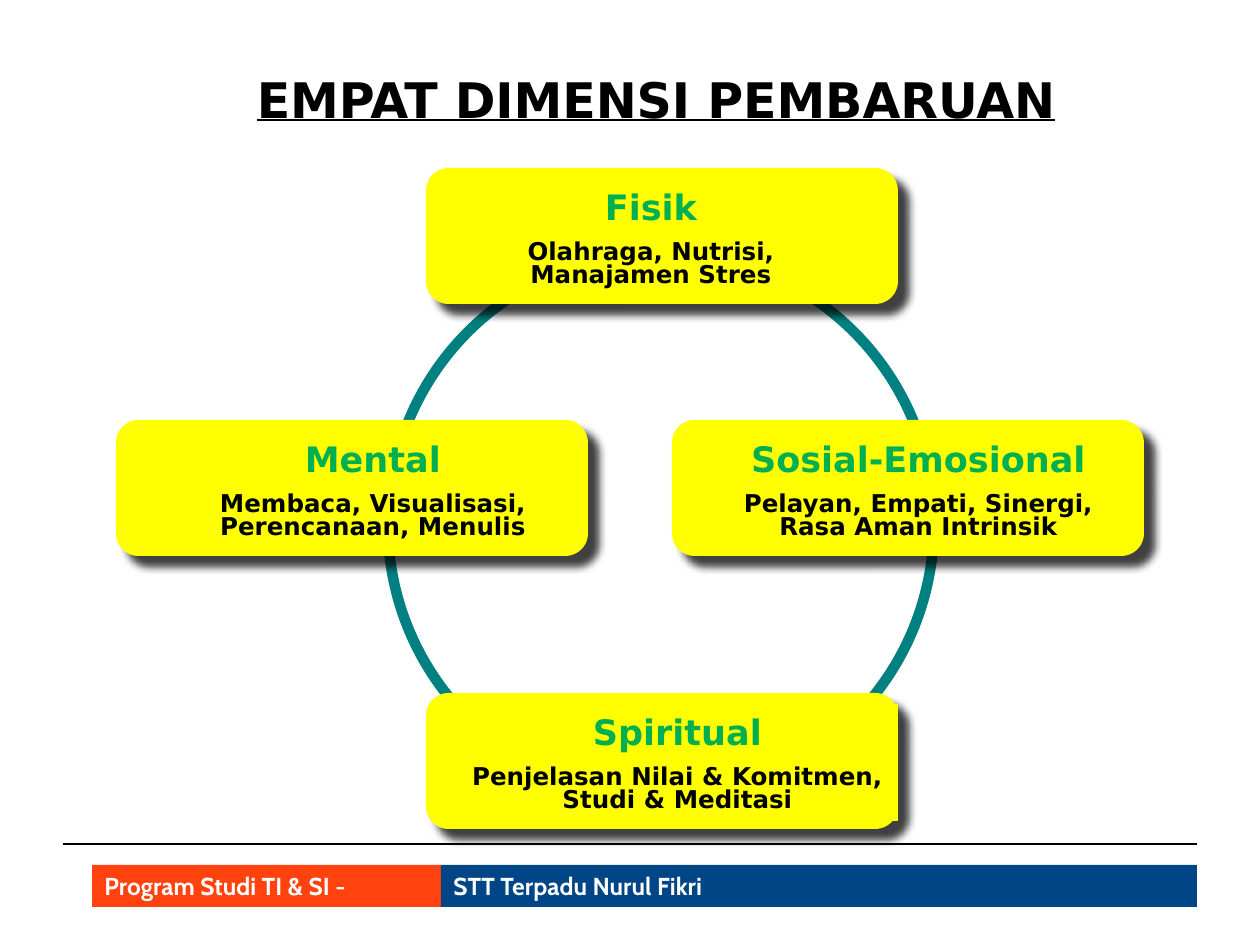
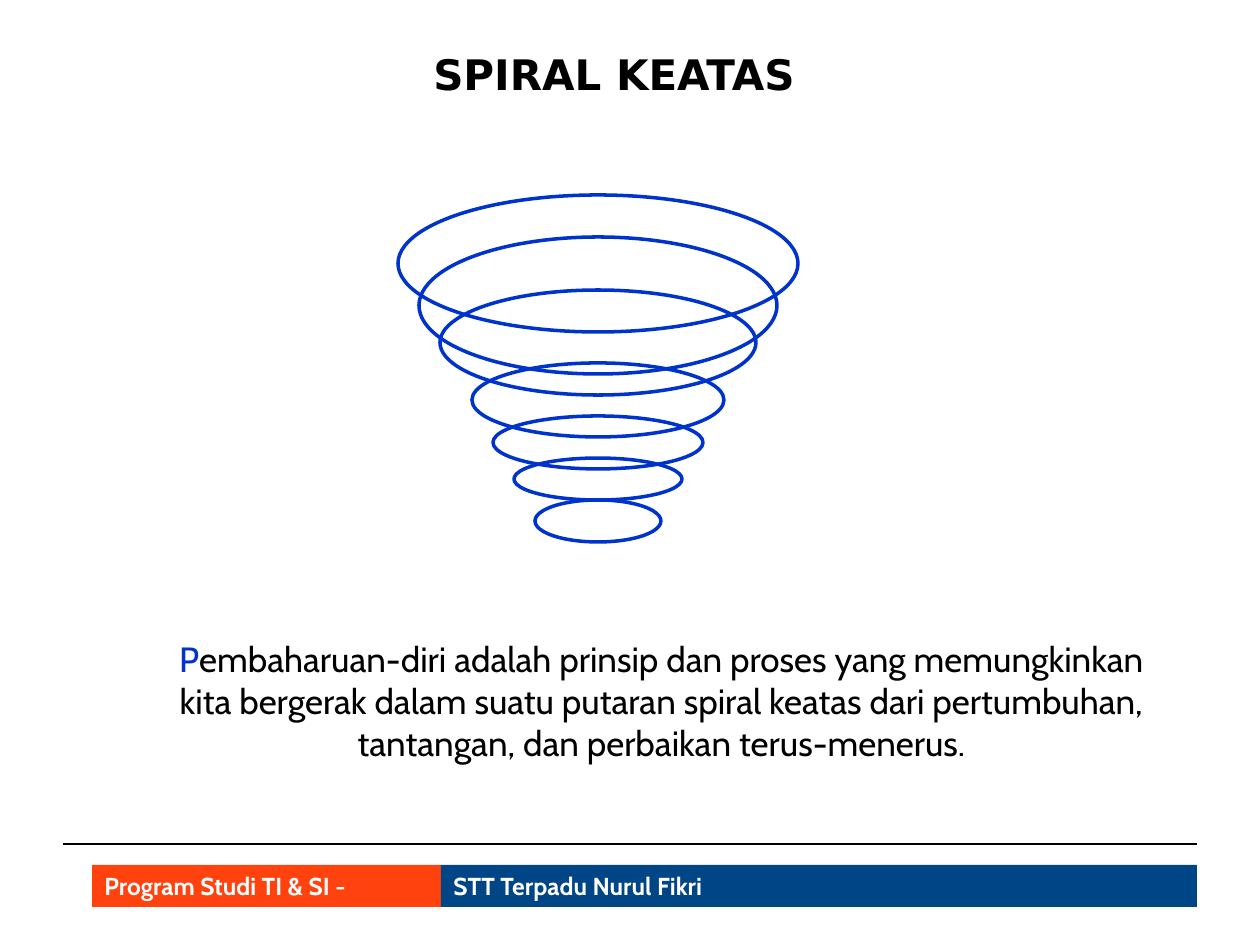
from lxml import etree
from pptx import Presentation, util as u
from pptx.dml.color import RGBColor
from pptx.enum import shapes as s, text as t
from pptx.oxml import ns

PX = u.Inches(1) // 126
HUES = {
    "black": "000000",
    "white": "FFFFFF",
    "orange": "FF420E",
    "navy": "004586",
    "teal": "008080",
    "yellow": "FFFF00",
    "green": "00B050",
    "blue": "0033CC",
}
HEAD, BODY = "DejaVu Sans", "Cabin"
CARD_W, CARD_H = 472, 136

# left and top of card, left and width of its label, heading, detail
CARDS = [
    (672, 420, 703, 431, "Sosial-Emosional", "Pelayan, Empati, Sinergi, Rasa Aman Intrinsik"),
    (426, 168, 467, 368, "Fisik", "Olahraga, Nutrisi, Manajamen Stres"),
    (426, 693, 457, 441, "Spiritual", "Penjelasan Nilai & Komitmen, Studi & Meditasi"),
    (116, 420, 189, 368, "Mental", "Membaca, Visualisasi, Perencanaan, Menulis"),
]

# top, width and height of each ring, all on one axis
AXIS = 598
RINGS = [
    (195, 400, 137),
    (237, 358, 137),
    (290, 316, 105),
    (363, 252, 74),
    (416, 210, 53),
    (458, 168, 42),
    (500, 126, 42),
]


def hue(name):
    return RGBColor.from_string(HUES[name])


def px(*sizes):
    return [size * PX for size in sizes]


def add_form(parent, kind, box, fill=None, line=None, width=0):
    form = parent.add_shape(kind, *px(*box))
    form.shadow.inherit = False
    if fill:
        form.fill.solid()
        form.fill.fore_color.rgb = hue(fill)
    else:
        form.fill.background()
    if line:
        form.line.color.rgb = hue(line)
        form.line.width = u.Pt(width)
    else:
        form.line.fill.background()
    return form


def set_font(font, name, size, color, bold=True, under=None):
    font.name, font.size = name, u.Pt(size)
    font.bold, font.underline = bold, under
    font.color.rgb = hue(color)


def set_frame(form):
    frame = form.text_frame
    frame.word_wrap = True
    frame.vertical_anchor = t.MSO_ANCHOR.TOP
    return frame


def add_line(para, words, *style, align=t.PP_ALIGN.CENTER):
    """Fill a paragraph with words in one style."""
    para.text = words
    para.alignment = align
    set_font(para.font, *style)


def add_title(slide, box, words, size, under=None):
    frame = set_frame(slide.shapes.add_textbox(*px(*box)))
    add_line(frame.paragraphs[0], words, HEAD, size, "black", True, under)


def add_foot(slide):
    rule = slide.shapes.add_connector(s.MSO_CONNECTOR.STRAIGHT, *px(63, 844, 1197, 844))
    rule.line.color.rgb = hue("black")
    rule.line.width = u.Pt(0.75)
    etree.SubElement(rule._element.spPr, ns.qn("a:effectLst"))
    bands = [
        (92, 349, "orange", "Program Studi TI & SI -"),
        (441, 756, "navy", "STT Terpadu Nurul Fikri"),
    ]
    for left, width, fill, words in bands:
        band = add_form(slide.shapes, s.MSO_SHAPE.RECTANGLE, (left, 865, width, 42), fill)
        add_line(set_frame(band).paragraphs[0], words, BODY, 14, "white",
                 align=t.PP_ALIGN.LEFT)


def cast_shade(form):
    """Give the form a soft shadow to the lower right."""
    effects = form._element.spPr.find(ns.qn("a:effectLst"))
    shade = etree.SubElement(
        effects, ns.qn("a:outerShdw"), blurRad=str(u.Pt(5)), dist=str(u.Pt(8.5)),
        dir=str(45 * 60000), algn="tl", rotWithShape="0")
    color = etree.SubElement(shade, ns.qn("a:srgbClr"), val=HUES["black"])
    etree.SubElement(color, ns.qn("a:alpha"), val="75000")


def add_card(slide, left, top, inner, width, head, detail):
    group = slide.shapes.add_group_shape().shapes
    card = add_form(group, s.MSO_SHAPE.ROUNDED_RECTANGLE, (left, top, CARD_W, CARD_H), "yellow")
    cast_shade(card)
    label = add_form(group, s.MSO_SHAPE.RECTANGLE, (inner, top + 11, width, 117), "yellow")
    frame = set_frame(label)
    add_line(frame.paragraphs[0], head, HEAD, 20, "green")
    para = frame.add_paragraph()
    add_line(para, detail, HEAD, 14, "black")
    para.line_spacing = 0.8
    para.space_before = u.Pt(8)


def add_rings(slide):
    group = slide.shapes.add_group_shape().shapes
    for top, width, height in RINGS:
        box = (AXIS - width // 2, top, width, height)
        add_form(group, s.MSO_SHAPE.OVAL, box, line="blue", width=2)


def add_quote(slide, first, rest):
    """Add the closing text, its first letter in blue."""
    frame = set_frame(slide.shapes.add_textbox(*px(84, 631, 1092, 140)))
    frame.margin_left = u.Inches(0.6)
    para = frame.paragraphs[0]
    para.alignment = t.PP_ALIGN.CENTER
    for words, color in ((first, "blue"), (rest, "black")):
        run = para.add_run()
        run.text = words
        set_font(run.font, BODY, 20, color, False)


def add_slide(deck):
    slide = deck.slides.add_slide(deck.slide_layouts[6])
    add_foot(slide)
    return slide


def main():
    deck = Presentation()
    deck.slide_width, deck.slide_height = px(1260, 945)

    slide = add_slide(deck)
    add_title(slide, (210, 63, 892, 72), "EMPAT DIMENSI PEMBARUAN", 28, True)
    add_form(slide.shapes, s.MSO_SHAPE.OVAL, (388, 252, 546, 546), line="teal", width=6)
    for card in CARDS:
        add_card(slide, *card)

    slide = add_slide(deck)
    add_rings(slide)
    add_title(slide, (252, 42, 724, 63), "SPIRAL KEATAS", 24)
    add_quote(slide, "P", "embaharuan-diri adalah prinsip dan proses yang memungkinkan kita "
              "bergerak dalam suatu putaran spiral keatas dari pertumbuhan, tantangan, "
              "dan perbaikan terus-menerus.")

    deck.save("out.pptx")


if __name__ == "__main__":
    main()
